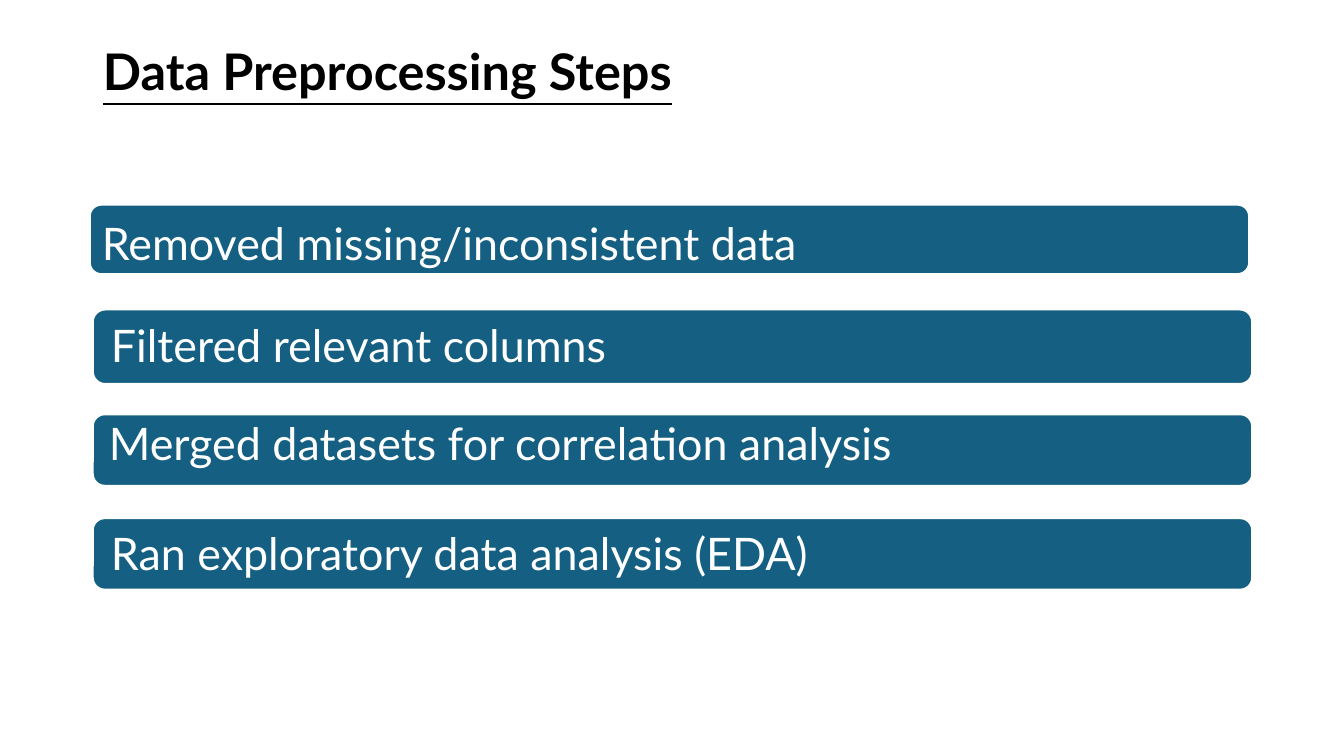
from pptx import Presentation
from pptx.dml.color import RGBColor
from pptx.enum import shapes, text
from pptx.util import Inches, Pt

# Content: step, bar (left, top, height), label (left, top, width, height)
TITLE = "Data Preprocessing Steps"
STEPS = [
    ("Removed missing/inconsistent data", (0.89, 2.03, 0.69), (0.88, 2.13, 11.43, 0.62)),
    ("Filtered relevant columns", (0.92, 3.07, 0.74), (0.97, 2.66, 11.45, 1.59)),
    ("Merged datasets for correlation analysis", (0.92, 4.11, 0.71), (0.95, 4.21, 11.43, 0.43)),
    ("Ran exploratory data analysis (EDA)", (0.92, 5.14, 0.71), (0.97, 5.2, 11.44, 0.64)),
]
COLORS = {"bar": "156082", "white": "FFFFFF", "title": "000000"}
FONT = "Lato"
WIDTH = 11.5
INSET = 0.13


def color(name):
    return RGBColor.from_string(COLORS[name])


def write(frame, words, size, tint):
    frame.text = words
    frame.word_wrap = True
    frame.auto_size = text.MSO_AUTO_SIZE.NONE
    frame.vertical_anchor = text.MSO_ANCHOR.MIDDLE
    line = frame.paragraphs[0]
    line.alignment = text.PP_ALIGN.LEFT
    line.line_spacing = 0.9
    font = line.runs[0].font
    font.name = FONT
    font.size = Pt(size)
    font.color.rgb = color(tint)
    return font


def add_step(slide, words, bar, label):
    group = slide.shapes.add_group_shape()

    # Bar
    left, top, height = bar
    box = group.shapes.add_shape(
        shapes.MSO_SHAPE.ROUNDED_RECTANGLE,
        Inches(left), Inches(top), Inches(WIDTH), Inches(height))
    box.shadow.inherit = False
    box.fill.solid()
    box.fill.fore_color.rgb = color("bar")
    box.line.color.rgb = color("white")
    box.line.width = Pt(1.5)

    # Label
    frame = group.shapes.add_textbox(*map(Inches, label)).text_frame
    frame.margin_left = frame.margin_right = Inches(INSET)
    frame.margin_top = frame.margin_bottom = Inches(INSET)
    write(frame, words, 32, "white")


def main():
    deck = Presentation()
    deck.slide_width, deck.slide_height = Inches(13.33), Inches(7.5)
    slide = deck.slides.add_slide(deck.slide_layouts[5])

    # Title
    title = slide.shapes.title
    title.left, title.top = Inches(0.92), Inches(0.19)
    title.width, title.height = Inches(WIDTH), Inches(1.1)
    font = write(title.text_frame, TITLE, 36, "title")
    font.bold = font.underline = True

    # Steps
    for step in STEPS:
        add_step(slide, *step)

    deck.save("out.pptx")


if __name__ == "__main__":
    main()
